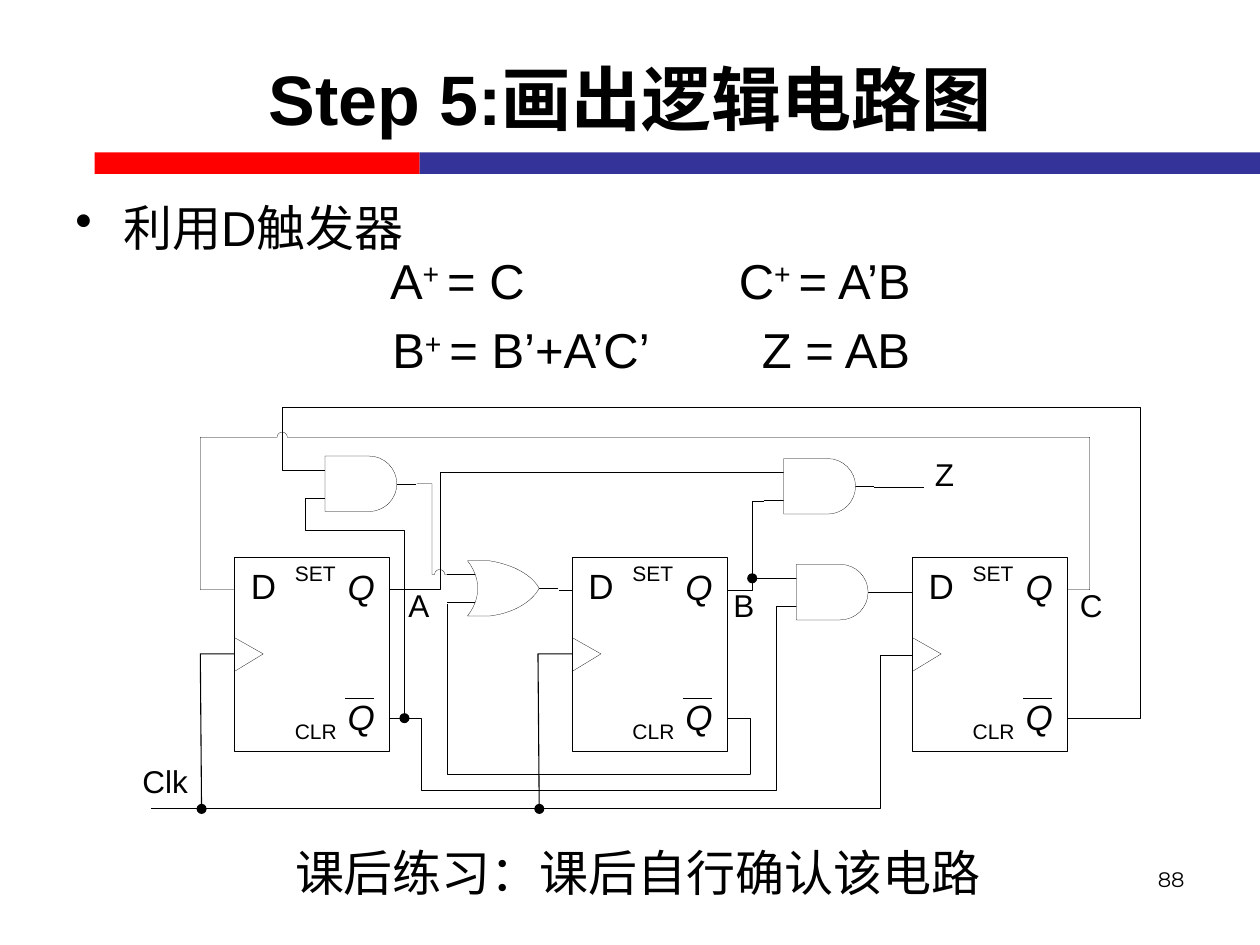
from math import cos, pi, sin

from lxml.etree import SubElement
from pptx import Presentation
from pptx.dml.color import RGBColor
from pptx.enum.shapes import MSO_CONNECTOR, MSO_SHAPE
from pptx.enum.text import MSO_ANCHOR, MSO_AUTO_SIZE, PP_ALIGN
from pptx.oxml.ns import qn
from pptx.util import Inches, Pt

BLACK = RGBColor(0x00, 0x00, 0x00)
WHITE = RGBColor(0xFF, 0xFF, 0xFF)
RED = RGBColor(0xFF, 0x00, 0x00)
BLUE = RGBColor(0x33, 0x33, 0x99)

# Layout grid: 10 columns by 7.5 rows
SLIDE_W, SLIDE_H = Inches(10), Inches(7.5)
COLUMN, ROW = SLIDE_W / 10, SLIDE_H / 7.5

HAIRLINE, CLOCK_LINE = 0.13, 0.63
CJK_FONT = "Noto Sans CJK SC"

# Circuit levels (rows) and flip-flop size
FLIP_FLOPS = (1.86, 4.54, 7.24)
FF_TOP, FF_W, FF_H = 4.42, 1.23, 1.54
Q_ROW, CLOCK_ROW, NOT_Q_ROW, BUS_ROW = 4.68, 5.19, 5.7, 6.42

BODY_FORMAT = {"size": Pt(28), "name": "Arial"}
TITLE_FORMAT = {"size": Pt(40), "name": "Arial", "bold": True}
NOTE_FORMAT = {"size": Pt(28), "name": CJK_FONT}
PAGE_FORMAT = {"size": Pt(12), "name": "Montserrat"}
SIGNAL_FORMAT = {"size": Pt(18), "name": "Arial"}
PIN_FORMAT = {"size": Pt(20), "name": "Arial"}
OUTPUT_FORMAT = {**PIN_FORMAT, "italic": True}
CONTROL_FORMAT = {"size": Pt(12), "name": "Arial"}


def place(column, row):
    return round(column * COLUMN), round(row * ROW)


def add_run(paragraph, text, values, raised=False):
    run = paragraph.add_run()
    run.text = text
    run.font.color.rgb = BLACK
    for key, value in values.items():
        setattr(run.font, key, value)
    properties = run._r.get_or_add_rPr()
    SubElement(properties, qn("a:ea"), typeface=CJK_FONT)
    if raised:
        properties.set("baseline", "30000")


def add_text(slide, box, parts, values, align=PP_ALIGN.CENTER, anchor=MSO_ANCHOR.TOP, bullet=False):
    """Text in a wrapped box; every second part is a superscript."""
    frame = slide.shapes.add_textbox(*place(*box[:2]), *place(*box[2:])).text_frame
    frame.word_wrap = True
    frame.vertical_anchor = anchor
    paragraph = frame.paragraphs[0]
    paragraph.alignment = align
    if bullet:
        properties = paragraph._p.get_or_add_pPr()
        properties.set("marL", str(Inches(0.38)))
        properties.set("indent", str(-Inches(0.38)))
        SubElement(properties, qn("a:buChar"), char="•")
    for index, part in enumerate(parts):
        add_run(paragraph, part, values, raised=index % 2 == 1)


def add_label(slide, box, text, values):
    """Tight label without margins."""
    frame = slide.shapes.add_textbox(*place(*box[:2]), *place(*box[2:])).text_frame
    tight = {"margin_left": 0, "margin_top": 0, "margin_right": 0, "margin_bottom": 0,
             "word_wrap": False, "auto_size": MSO_AUTO_SIZE.SHAPE_TO_FIT_TEXT}
    for key, value in tight.items():
        setattr(frame, key, value)
    add_run(frame.paragraphs[0], text, values)


def add_solid(slide, kind, box, color):
    solid = slide.shapes.add_shape(kind, *place(*box[:2]), *place(*box[2:]))
    solid.shadow.inherit = False
    solid.fill.solid()
    solid.fill.fore_color.rgb = color
    solid.line.fill.background()


def add_dot(slide, column, row):
    add_solid(slide, MSO_SHAPE.OVAL, (column - 0.04, row - 0.04, 0.08, 0.08), BLACK)


def add_outline(slide, *strokes, width=HAIRLINE, closed=False):
    """One freeform of several strokes; a closed one is filled white."""
    builder = slide.shapes.build_freeform(*place(*strokes[0][0]), scale=1.0)
    for index, stroke in enumerate(strokes):
        if index:
            builder.move_to(*place(*stroke[0]))
        builder.add_line_segments([place(*point) for point in stroke[1:]], close=closed)
    outline = builder.convert_to_shape()
    outline.shadow.inherit = False
    if closed:
        outline.fill.solid()
        outline.fill.fore_color.rgb = WHITE
    else:
        outline.fill.background()
    outline.line.color.rgb = BLACK
    outline.line.width = Pt(width)


def add_lead(slide, start, end):
    lead = slide.shapes.add_connector(MSO_CONNECTOR.STRAIGHT, *place(*start), *place(*end))
    lead.line.color.rgb = BLACK
    lead.line.width = Pt(HAIRLINE)
    SubElement(lead._element.spPr, qn("a:effectLst"))


def arc(column, row, radius, start, end, steps=16):
    angles = (start + (end - start) * step / steps for step in range(steps + 1))
    return [(column + radius * cos(angle), row + radius * sin(angle)) for angle in angles]


def bezier(a, b, c, d, steps=12):
    shares = [step / steps for step in range(steps + 1)]
    return [tuple((1 - t) ** 3 * p + 3 * t * (1 - t) ** 2 * q + 3 * t * t * (1 - t) * r + t ** 3 * s
                  for p, q, r, s in zip(a, b, c, d)) for t in shares]


def add_gate(slide, column, row, body):
    """Gate with two inputs and one output; body points start at its pin corner."""
    pins = [[(0, 0.11), (0.44, 0.11)], [(0, 0.33), (0.44, 0.33)], [(0.88, 0.22), (0.44, 0.22)]]
    moved = [[(column + x, row + y) for x, y in stroke] for stroke in (*pins, body)]
    add_outline(slide, *moved[:3])
    add_outline(slide, moved[3], closed=True)


def add_flip_flop(slide, left):
    right, bottom = left + FF_W, FF_TOP + FF_H
    add_solid(slide, MSO_SHAPE.RECTANGLE, (left, FF_TOP, FF_W, FF_H), WHITE)
    add_outline(
        slide,
        [(left + 0.88, 5.54), (left + 1.11, 5.54)],
        [(left, 5.06), (left + 0.23, CLOCK_ROW), (left, 5.33)],
        [(left, bottom), (right, bottom), (right, FF_TOP), (left, FF_TOP), (left, bottom)])
    for x, y, w, h, text, values in (
            (0.9, 5.52, 0.27, 0.42, "Q", OUTPUT_FORMAT), (0.9, 4.49, 0.27, 0.42, "Q", OUTPUT_FORMAT),
            (0.48, 4.45, 0.33, 0.2, "SET", CONTROL_FORMAT), (0.48, 5.7, 0.34, 0.2, "CLR", CONTROL_FORMAT),
            (0.13, 4.48, 0.25, 0.42, "D", PIN_FORMAT)):
        add_label(slide, (left + x, y, w, h), text, values)


def add_wires(slide):
    first, second, third = FLIP_FLOPS
    first_q, second_q, third_q = (left + FF_W for left in FLIP_FLOPS)

    # Clock bus and its taps
    for left in (first, second):
        add_outline(slide, [(left, CLOCK_ROW), (left - 0.27, CLOCK_ROW), (left - 0.26, BUS_ROW)],
                    width=CLOCK_LINE)
        add_dot(slide, left - 0.26, BUS_ROW)
    add_outline(slide, [(third, 5.2), (6.99, 5.2), (6.99, BUS_ROW), (1.2, BUS_ROW)], width=CLOCK_LINE)

    # Signals; a hop marks a crossing without a joint
    for wire in (
            [(6.16, 4.59), (5.97, 4.59), (5.97, Q_ROW), (second_q, Q_ROW)],
            [(third_q, Q_ROW), (8.65, Q_ROW), (8.65, 3.47), *arc(2.24, 3.47, 0.04, 0, -pi),
             (1.59, 3.47), (1.59, Q_ROW), (first, Q_ROW)],
            [(second_q, NOT_Q_ROW), (5.95, NOT_Q_ROW), (5.95, 6.14), (3.55, 6.14), (3.55, 4.79)],
            [(first_q, NOT_Q_ROW), (3.34, NOT_Q_ROW), (3.34, 6.27), (6.16, 6.27), (6.16, 4.81)],
            [(3.31, 3.84), (3.43, 3.84), (3.43, 4.56), *arc(3.49, 4.56, 0.04, -pi, 0), (3.55, 4.56)],
            [(2.42, 3.73), (2.24, 3.73), (2.24, 3.23), (9.05, 3.23), (9.05, NOT_Q_ROW),
             (third_q, NOT_Q_ROW)],
            [(first_q, Q_ROW), (3.49, Q_ROW), (3.49, 3.75), (6.06, 3.75)],
            [(6.06, 3.98), (5.97, 3.98), (5.97, 4.59)]):
        add_outline(slide, wire)
    add_outline(slide, [(2.42, 3.95), (2.42, 4.21), (3.21, 4.21), (3.21, NOT_Q_ROW)], width=0.25)
    add_dot(slide, 3.21, NOT_Q_ROW)
    add_dot(slide, 5.97, 4.59)

    # Gate output leads
    add_lead(slide, (second, Q_ROW), (4.44, Q_ROW))
    add_lead(slide, (6.94, 3.87), (7.33, 3.87))
    add_lead(slide, (third, 4.7), (7.04, 4.7))


def main():
    deck = Presentation()
    deck.slide_width, deck.slide_height = SLIDE_W, SLIDE_H
    slide = deck.slides.add_slide(deck.slide_layouts[6])

    # Title, rule and page number
    add_solid(slide, MSO_SHAPE.RECTANGLE, (0.75, 1.21, 2.58, 0.17), RED)
    add_solid(slide, MSO_SHAPE.RECTANGLE, (3.33, 1.21, 6.67, 0.17), BLUE)
    add_text(slide, (7.17, 6.83, 2.33, 0.52), ["88"], PAGE_FORMAT, PP_ALIGN.RIGHT)
    add_text(slide, (0.5, 0.15, 9, 1.25), ["Step 5:画出逻辑电路图"], TITLE_FORMAT, anchor=MSO_ANCHOR.MIDDLE)

    # Next-state equations and exercise
    add_text(slide, (0.5, 1.52, 9, 0.77), ["利用D触发器"], BODY_FORMAT, PP_ALIGN.LEFT, bullet=True)
    for column, row, width, equation in (
            (2.84, 1.94, 1.58, ["A", "+ ", "= C"]), (2.84, 2.49, 2.59, ["B", "+ ", "= B’+A’C’"]),
            (5.17, 1.94, 2.75, ["C", "+ ", "= A’B"]), (5.26, 2.49, 2.75, ["Z = AB"])):
        add_text(slide, (column, row, width, 0.57), equation, BODY_FORMAT)
    add_text(slide, (0.99, 6.64, 8.14, 0.57), ["课后练习：课后自行确认该电路"], NOTE_FORMAT)

    # Circuit
    for left in FLIP_FLOPS:
        add_flip_flop(slide, left)
    and_body = [(0.16, 0.44), (0.16, 0), *arc(0.51, 0.22, 0.22, -pi / 2, pi / 2)]
    or_body = [*bezier((0.73, 0.22), (0.67, 0.33), (0.52, 0.42), (0.33, 0.44)),
               *bezier((0.16, 0.44), (0.27, 0.3), (0.27, 0.14), (0.16, 0)),
               *bezier((0.33, 0), (0.52, 0.03), (0.67, 0.11), (0.73, 0.22))]
    for column, row, body in ((6.16, 4.48, and_body), (2.42, 3.62, and_body),
                              (6.06, 3.64, and_body), (3.55, 4.45, or_body)):
        add_gate(slide, column, row, body)
    add_wires(slide)
    for column, row, width, signal in ((1.13, 6.05, 0.45, "Clk"), (3.24, 4.65, 0.21, "A"),
                                       (5.82, 4.65, 0.21, "B"), (8.57, 4.65, 0.23, "C"),
                                       (7.42, 3.61, 0.19, "Z")):
        add_label(slide, (column, row, width, 0.5), signal, SIGNAL_FORMAT)

    deck.save("out.pptx")


if __name__ == "__main__":
    main()
